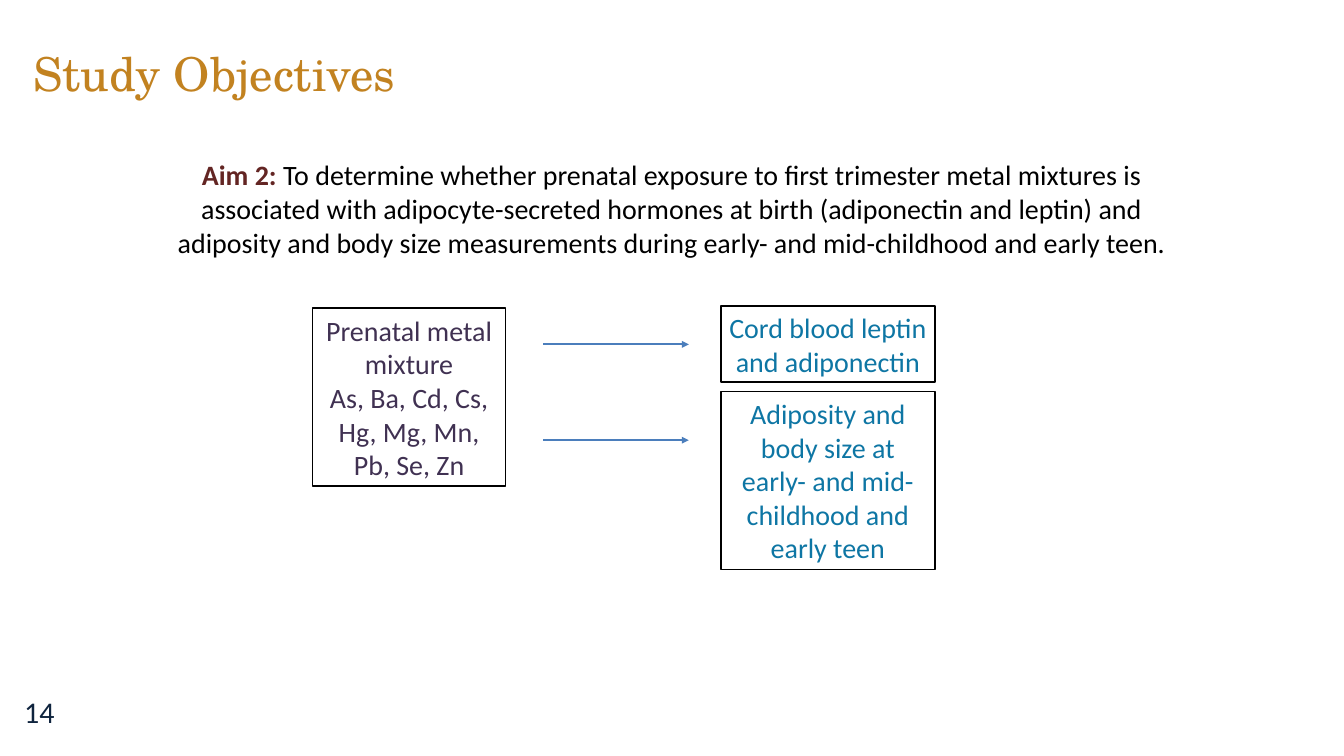
from lxml import etree
from pptx import Presentation
from pptx.dml.color import RGBColor
from pptx.enum.shapes import MSO_CONNECTOR, MSO_SHAPE
from pptx.enum.text import MSO_ANCHOR, PP_ALIGN
from pptx.oxml.ns import qn
from pptx.util import Inches, Pt

LINE = MSO_CONNECTOR.STRAIGHT
RECT = MSO_SHAPE.RECTANGLE
MIDDLE = MSO_ANCHOR.MIDDLE
LEFT, CENTER = PP_ALIGN.LEFT, PP_ALIGN.CENTER

WHITE = RGBColor(0xFF, 0xFF, 0xFF)
BLACK = RGBColor(0x00, 0x00, 0x00)
GOLD = RGBColor(0xC2, 0x82, 0x20)
MAROON = RGBColor(0x63, 0x25, 0x23)
PURPLE = RGBColor(0x40, 0x31, 0x52)
TEAL = RGBColor(0x0E, 0x76, 0xA4)
BLUE = RGBColor(0x4B, 0x7E, 0xBC)
NAVY = RGBColor(0x0F, 0x24, 0x3E)

SANS = "Calibri"
SERIF = "TeX Gyre Schola"
BODY = 24


def style(para, color, size=BODY, face=SANS, align=CENTER):
    para.alignment = align
    para.font.name = face
    para.font.size = Pt(size)
    para.font.color.rgb = color


def add_label(slide, text, place, color, size, face=SANS):
    frame = slide.shapes.add_textbox(*map(Inches, place)).text_frame
    frame.word_wrap = False
    frame.vertical_anchor = MIDDLE
    para = frame.paragraphs[0]
    para.text = text
    style(para, color, size, face, LEFT)


def add_aim(slide, lead, text, place):
    frame = slide.shapes.add_textbox(*map(Inches, place)).text_frame
    frame.word_wrap = True
    para = frame.paragraphs[0]
    style(para, BLACK)
    head = para.add_run()
    head.text = lead
    head.font.bold = True
    head.font.color.rgb = MAROON
    para.add_run().text = text


def add_box(slide, lines, place, color):
    box = slide.shapes.add_shape(RECT, *map(Inches, place))
    box.shadow.inherit = False
    box.fill.solid()
    box.fill.fore_color.rgb = WHITE
    box.line.color.rgb = BLACK
    box.line.width = Pt(1.5)
    frame = box.text_frame
    frame.word_wrap = True
    frame.vertical_anchor = MIDDLE
    frame.margin_left = frame.margin_right = Inches(0.08)
    frame.text = "\n".join(lines)
    for para in frame.paragraphs:
        style(para, color)


def add_arrow(slide, start, end, top):
    arrow = slide.shapes.add_connector(
        LINE, Inches(start), Inches(top), Inches(end), Inches(top))
    arrow.line.color.rgb = BLUE
    arrow.line.width = Pt(1.5)
    etree.SubElement(arrow.line._get_or_add_ln(), qn("a:tailEnd"), type="triangle")
    etree.SubElement(arrow._element.spPr, qn("a:effectLst"))


def main():
    deck = Presentation()
    deck.slide_width, deck.slide_height = Inches(16), Inches(9)
    slide = deck.slides.add_slide(deck.slide_layouts[6])

    add_label(slide, "Study Objectives", (0.3, 0.46, 4.57, 0.81), GOLD, 40, SERIF)
    add_aim(
        slide, "Aim 2: ",
        "To determine whether prenatal exposure to first trimester metal mixtures "
        "is associated with adipocyte-secreted hormones at birth (adiponectin and "
        "leptin) and adiposity and body size measurements during early- and "
        "mid-childhood and early teen.",
        (1.73, 1.83, 12.53, 1.21))
    add_box(
        slide,
        ["Prenatal metal mixture", "As, Ba, Cd, Cs, Hg, Mg, Mn, Pb, Se, Zn"],
        (3.72, 3.67, 2.3, 2.12), PURPLE)
    for top in (4.1, 5.24):
        add_arrow(slide, 6.47, 8.2, top)
    for text, top, height in (
        ("Cord blood leptin and adiponectin", 3.64, 0.91),
        ("Adiposity and body size at early- and mid-childhood and early teen",
         4.66, 2.12),
    ):
        add_box(slide, [text], (8.58, top, 2.55, height), TEAL)
    add_label(slide, "14", (0.19, 8.19, 0.59, 0.55), NAVY, 25.7)

    deck.save("out.pptx")


if __name__ == "__main__":
    main()
